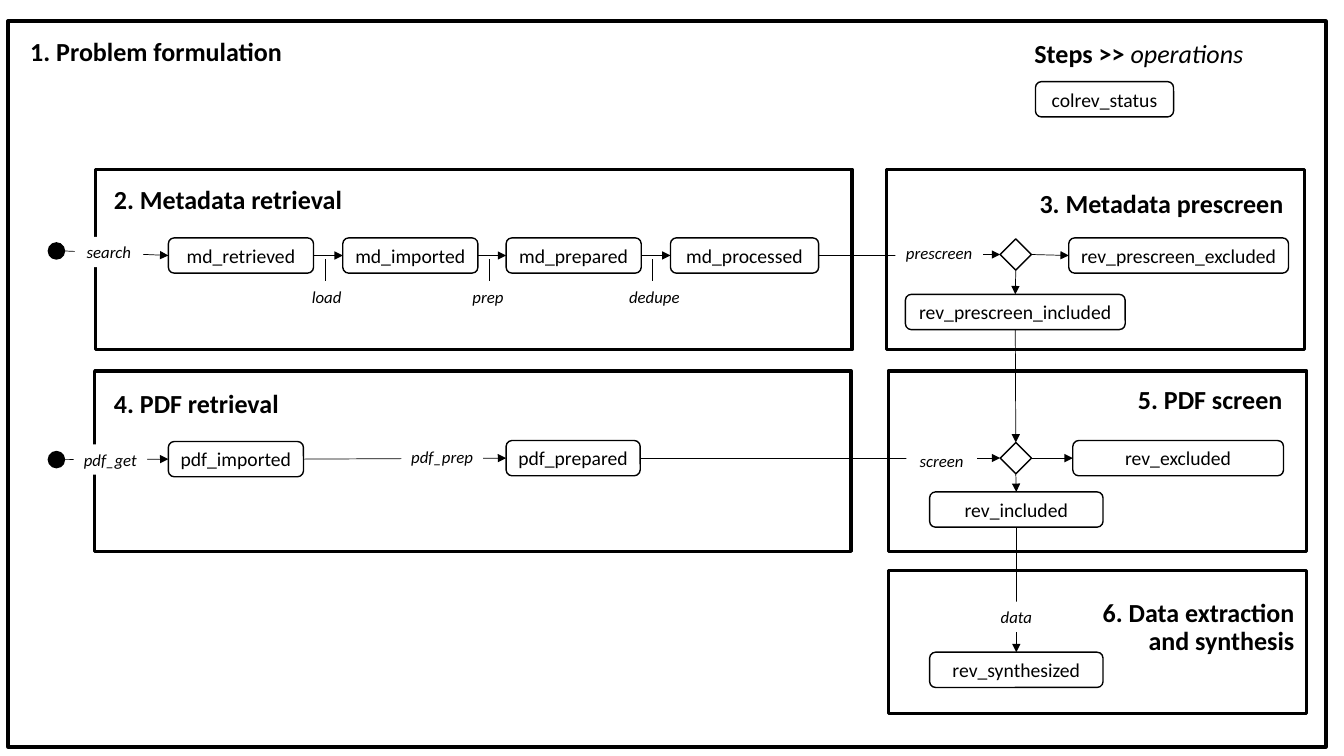
from lxml import etree
from pptx import Presentation
from pptx.dml.color import RGBColor
from pptx.enum.shapes import MSO_CONNECTOR, MSO_SHAPE
from pptx.enum.text import MSO_ANCHOR, PP_ALIGN
from pptx.oxml.ns import qn
from pptx.util import Inches, Pt

BLACK, WHITE = RGBColor(0, 0, 0), RGBColor(255, 255, 255)
FONT = "Calibri"
LEFT, CENTER, RIGHT = PP_ALIGN.LEFT, PP_ALIGN.CENTER, PP_ALIGN.RIGHT
MIDDLE = MSO_ANCHOR.MIDDLE
RECT, ROUNDED = MSO_SHAPE.RECTANGLE, MSO_SHAPE.ROUNDED_RECTANGLE
DIAMOND, DOT = MSO_SHAPE.DIAMOND, MSO_SHAPE.OVAL
STRAIGHT, ELBOW = MSO_CONNECTOR.STRAIGHT, MSO_CONNECTOR.ELBOW
TOP_SITE, LEFT_SITE, BOTTOM_SITE, RIGHT_SITE = range(4)

STATE_H, LABEL_H = 0.35, 0.3
DIAMOND_SIZE, DOT_SIZE = 0.31, 0.16
METADATA_Y, OPERATION_Y = 2.36, 2.79

# left, top, width, height of each step
FRAMES = [
    (0.08, 0.21, 13.07, 7.2),
    (0.95, 1.68, 7.5, 1.79),
    (8.79, 1.68, 4.15, 1.79),
    (0.94, 3.68, 7.5, 1.79),
    (8.81, 3.68, 4.15, 1.79),
    (8.81, 5.66, 4.15, 1.42),
]
# paragraphs of (text, bold, italic) runs, left, top, width, height, alignment
HEADINGS = [
    ([[("1. Problem formulation", True, False)]], 0.23, 0.34, 3.27, 0.38, LEFT),
    ([[("Steps >> ", True, False), ("operations", False, True)]],
     10.19, 0.36, 3.07, 0.38, LEFT),
    ([[("2. Metadata retrieval", True, False)]], 1.06, 1.8, 2.57, 0.38, LEFT),
    ([[("3. Metadata prescreen", True, False)]], 9.92, 1.84, 2.88, 0.38, RIGHT),
    ([[("4. PDF retrieval", True, False)]], 1.06, 3.83, 1.93, 0.38, LEFT),
    ([[("5. PDF screen", True, False)]], 11.04, 3.79, 1.75, 0.38, RIGHT),
    ([[("6. Data extraction", True, False)], [("and synthesis", True, False)]],
     10.58, 5.95, 2.33, 0.56, RIGHT),
]
# name: left, top, width
STATES = {
    "colrev_status": (10.27, 0.81, 1.37),
    "md_retrieved": (1.67, METADATA_Y, 1.44),
    "md_imported": (3.4, METADATA_Y, 1.34),
    "md_prepared": (5.02, METADATA_Y, 1.34),
    "md_processed": (6.65, METADATA_Y, 1.47),
    "rev_prescreen_excluded": (10.6, METADATA_Y, 2.18),
    "rev_prescreen_included": (8.98, 2.92, 2.18),
    "pdf_imported": (1.67, 4.38, 1.34),
    "pdf_prepared": (5.02, 4.37, 1.33),
    "rev_excluded": (10.64, 4.37, 2.09),
    "rev_included": (9.22, 4.88, 1.72),
    "rev_synthesized": (9.22, 6.47, 1.72),
}
DECISIONS = {"prescreen decision": (9.92, 2.37), "screen decision": (9.92, 4.39)}
# first state: left, top of the dot that leads to it
STARTS = {"md_retrieved": (0.48, 2.41), "pdf_imported": (0.48, 4.48)}

ACROSS = [
    ("md_retrieved", "md_imported", STRAIGHT),
    ("md_imported", "md_prepared", STRAIGHT),
    ("md_prepared", "md_processed", STRAIGHT),
    ("md_processed", "prescreen decision", ELBOW),
    ("prescreen decision", "rev_prescreen_excluded", STRAIGHT),
    ("pdf_imported", "pdf_prepared", STRAIGHT),
    ("pdf_prepared", "screen decision", ELBOW),
    ("screen decision", "rev_excluded", STRAIGHT),
]
DOWN = ["prescreen decision", "rev_prescreen_included", "screen decision",
        "rev_included", "rev_synthesized"]
# name, left, top, width
OPERATIONS = [
    ("search", 0.74, 2.35, 0.68),
    ("load", 2.99, OPERATION_Y, 0.5),
    ("prep", 4.57, OPERATION_Y, 0.54),
    ("dedupe", 6.13, OPERATION_Y, 0.72),
    ("prescreen", 8.88, 2.36, 0.87),
    ("pdf_get", 0.73, 4.41, 0.73),
    ("pdf_prep", 3.98, 4.38, 0.81),
    ("screen", 8.99, 4.42, 0.7),
    ("data", 9.73, 5.97, 0.7),
]
TICK_XS = [3.23 + 1.62 * i for i in range(3)]
TICK_TOP = 2.57


def write(shape, paragraphs, size, align=CENTER, spacing=1.0, inset=(0, 0)):
    """Fill a shape with paragraphs of (text, bold, italic) runs."""
    frame = shape.text_frame
    frame.word_wrap = True
    frame.vertical_anchor = MIDDLE
    frame.margin_left = frame.margin_right = Inches(inset[0])
    frame.margin_top = frame.margin_bottom = Inches(inset[1])
    for i, runs in enumerate(paragraphs):
        paragraph = frame.add_paragraph() if i else frame.paragraphs[0]
        paragraph.alignment = align
        paragraph.line_spacing = spacing
        for text, bold, italic in runs:
            run = paragraph.add_run()
            run.text = text
            font = run.font
            font.name, font.size = FONT, Pt(size)
            font.bold, font.italic = bold, italic
            font.color.rgb = BLACK


def add_box(kind, left, top, width, height, fill=WHITE, line=1):
    """Add a preset shape; None leaves out its fill or its outline."""
    box = slide.shapes.add_shape(kind, *map(Inches, (left, top, width, height)))
    box.shadow.inherit = False
    if fill is None:
        box.fill.background()
    else:
        box.fill.solid()
        box.fill.fore_color.rgb = fill
    if line is None:
        box.line.fill.background()
    else:
        box.line.color.rgb = BLACK
        box.line.width = Pt(line)
    return box


def add_line(start=(0, 0), end=(0, 0), kind=STRAIGHT, arrowhead=False):
    """Add a thin black connector without a shadow."""
    line = slide.shapes.add_connector(kind, *map(Inches, (*start, *end)))
    line.line.color.rgb = BLACK
    line.line.width = Pt(0.5)
    properties = line._element.spPr
    if arrowhead:
        etree.SubElement(properties.find(qn("a:ln")), qn("a:tailEnd"), type="triangle")
    etree.SubElement(properties, qn("a:effectLst"))
    return line


def add_arrow(source, source_site, target, target_site, kind=STRAIGHT):
    """Join two nodes with an arrow glued to their connection sites."""
    arrow = add_line(kind=kind, arrowhead=True)
    arrow.begin_connect(nodes[source], source_site)
    arrow.end_connect(nodes[target], target_site)


prs = Presentation()
prs.slide_width, prs.slide_height = Inches(13.33), Inches(7.5)
slide = prs.slides.add_slide(prs.slide_layouts[6])

for frame_place in FRAMES:
    add_box(RECT, *frame_place, fill=None, line=2.5)

nodes = {}
for name, (left, top, width) in STATES.items():
    nodes[name] = add_box(ROUNDED, left, top, width, STATE_H)
    write(nodes[name], [[(name, False, False)]], 14)
for name, place in DECISIONS.items():
    nodes[name] = add_box(DIAMOND, *place, DIAMOND_SIZE, DIAMOND_SIZE)

for first_state, (left, top) in STARTS.items():
    add_box(DOT, left, top, DOT_SIZE, DOT_SIZE, fill=BLACK)
    dot_edge = (left + DOT_SIZE, top + DOT_SIZE / 2)
    arrow = add_line(dot_edge, dot_edge, arrowhead=True)
    arrow.end_connect(nodes[first_state], LEFT_SITE)
for source, target, kind in ACROSS:
    add_arrow(source, RIGHT_SITE, target, LEFT_SITE, kind)
for source, target in zip(DOWN, DOWN[1:]):
    add_arrow(source, BOTTOM_SITE, target, TOP_SITE)
for x in TICK_XS:
    add_line((x, TICK_TOP), (x, OPERATION_Y))

for name, left, top, width in OPERATIONS:
    label = add_box(RECT, left, top, width, LABEL_H, line=None)
    write(label, [[(name, False, True)]], 12)

for paragraphs, left, top, width, height, align in HEADINGS:
    heading = slide.shapes.add_textbox(*map(Inches, (left, top, width, height)))
    write(heading, paragraphs, 18.6, align, spacing=0.9, inset=(0.07, 0.04))

prs.save("out.pptx")
